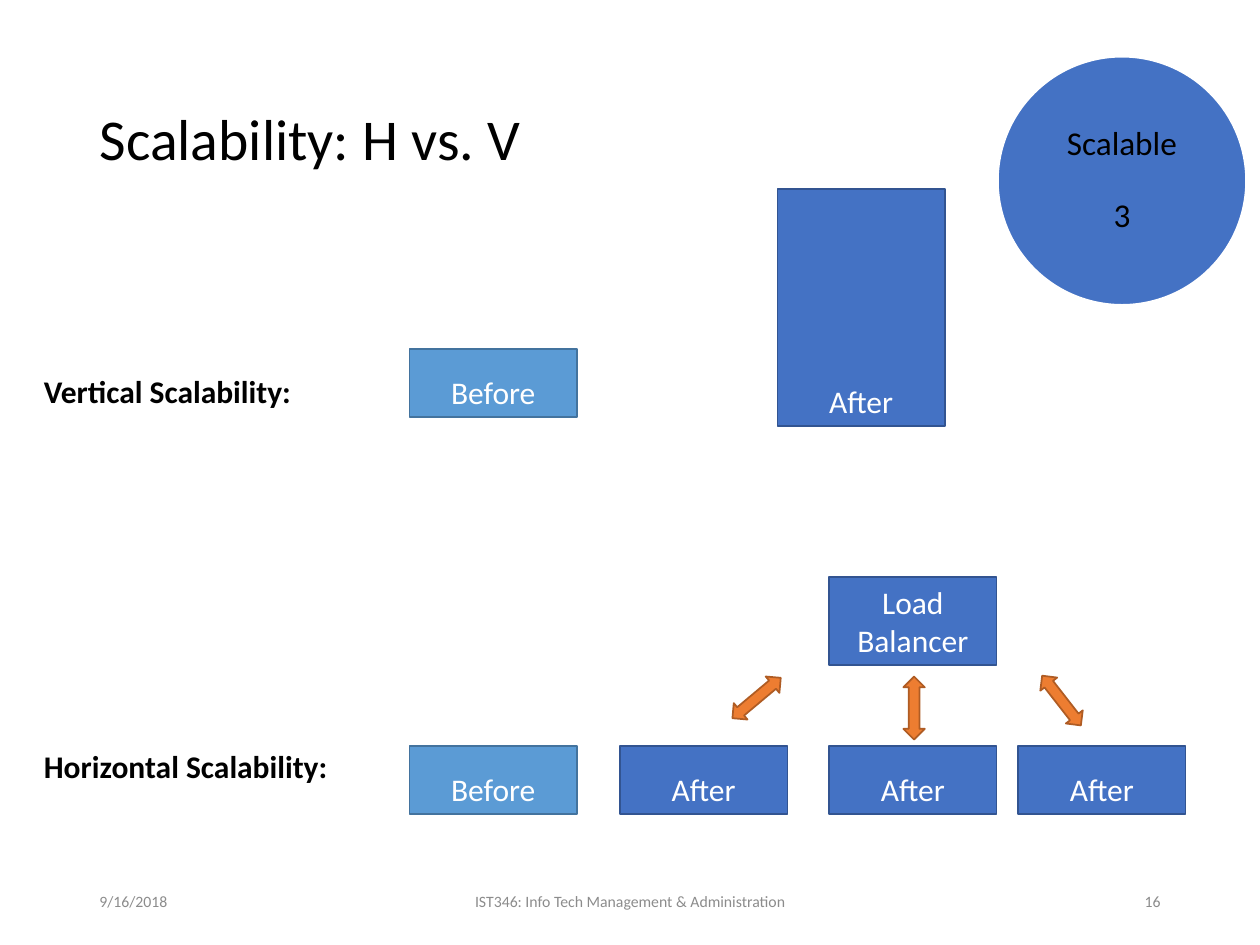
from pptx import Presentation
from pptx.dml.color import RGBColor
from pptx.enum.shapes import MSO_SHAPE
from pptx.enum.text import MSO_ANCHOR, PP_ALIGN
from pptx.util import Inches, Pt

THEME = {
    "font": "Calibri",
    "title": {"size": Pt(33), "color": "000000"},
    "label": {"size": Pt(18), "color": "000000", "bold": True},
    "box": {"size": Pt(18), "color": "FFFFFF"},
    "badge": {"size": Pt(19), "color": "000000"},
    "footer": {"size": Pt(9), "color": "8C8C8C"},
    "before": ("5B9BD5", "43739E"),
    "after": ("4472C4", "325491"),
    "circle": ("4472C4", "FFFFFF"),
    "arrow": ("ED7D31", "AF5C24"),
}


def write(holder, text, style, align=PP_ALIGN.LEFT, anchor=MSO_ANCHOR.MIDDLE, wrap=True):
    frame = holder.text_frame
    frame.text = text
    frame.word_wrap = wrap
    frame.vertical_anchor = anchor
    look = dict(THEME[style])
    color = RGBColor.from_string(look.pop("color"))
    for paragraph in frame.paragraphs:
        paragraph.alignment = align
        paragraph.font.name = THEME["font"]
        paragraph.font.color.rgb = color
        for attribute, value in look.items():
            setattr(paragraph.font, attribute, value)
    return frame


def draw(preset, bounds, colors, rotation=0):
    shape = slide.shapes.add_shape(preset, *map(Inches, bounds))
    fill, line = THEME[colors]
    shape.fill.solid()
    shape.fill.fore_color.rgb = RGBColor.from_string(fill)
    shape.line.color.rgb = RGBColor.from_string(line)
    shape.line.width = Pt(1)
    shape.shadow.inherit = False
    shape.rotation = rotation
    return shape


deck = Presentation()
deck.slide_width, deck.slide_height = Inches(10), Inches(7.5)
slide = deck.slides.add_slide(deck.slide_layouts[5])

# Title
title = slide.shapes.title
title.left, title.top, title.width, title.height = map(Inches, (0.69, 0.4, 8.62, 1.45))
write(title, "Scalability: H vs. V", "title").paragraphs[0].line_spacing = 0.9

# Footer
for text, left, width, align in (
    ("9/16/2018", 0.69, 2.25, PP_ALIGN.LEFT),
    ("IST346: Info Tech Management & Administration", 3.31, 3.38, PP_ALIGN.CENTER),
    ("16", 7.06, 2.25, PP_ALIGN.RIGHT),
):
    footer = slide.shapes.add_textbox(*map(Inches, (left, 6.95, width, 0.4)))
    write(footer, text, "footer", align)

# Principle badge
badge = draw(MSO_SHAPE.OVAL, (7.92, 0.45, 1.97, 1.97), "circle")
badge_text = write(badge, "Scalable\n3", "badge", PP_ALIGN.CENTER)
for paragraph in badge_text.paragraphs:
    paragraph.line_spacing = 0.9
badge_text.paragraphs[1].space_before = Pt(21)

# Row labels
for text, top, width in (
    ("Vertical Scalability:", 2.9, 2.45),
    ("Horizontal Scalability:", 5.88, 2.81),
):
    label = slide.shapes.add_textbox(*map(Inches, (0.25, top, width, 0.4)))
    write(label, text, "label", anchor=MSO_ANCHOR.TOP, wrap=False)

# Servers
SERVER_WIDTH, SERVER_HEIGHT = 1.33, 0.54
VERTICAL_TOP, HORIZONTAL_TOP = 2.77, 5.92
for text, left, top, height, colors in (
    ("Before", 3.25, VERTICAL_TOP, SERVER_HEIGHT, "before"),
    ("After", 6.17, 1.5, 1.88, "after"),
    ("Before", 3.25, HORIZONTAL_TOP, SERVER_HEIGHT, "before"),
    ("After", 4.92, HORIZONTAL_TOP, SERVER_HEIGHT, "after"),
    ("After", 6.58, HORIZONTAL_TOP, SERVER_HEIGHT, "after"),
    ("After", 8.08, HORIZONTAL_TOP, SERVER_HEIGHT, "after"),
    ("Load Balancer", 6.58, 4.58, 0.7, "after"),
):
    server = draw(MSO_SHAPE.RECTANGLE, (left, top, SERVER_WIDTH, height), colors)
    write(server, text, "box", PP_ALIGN.CENTER, MSO_ANCHOR.BOTTOM)

# Traffic between the load balancer and its servers
for left, top, rotation in ((5.92, 5.29, 50.1), (8.34, 5.31, 322.1), (7.17, 5.37, 0)):
    draw(MSO_SHAPE.UP_DOWN_ARROW, (left, top, 0.17, 0.5), "arrow", rotation)

deck.save("out.pptx")
